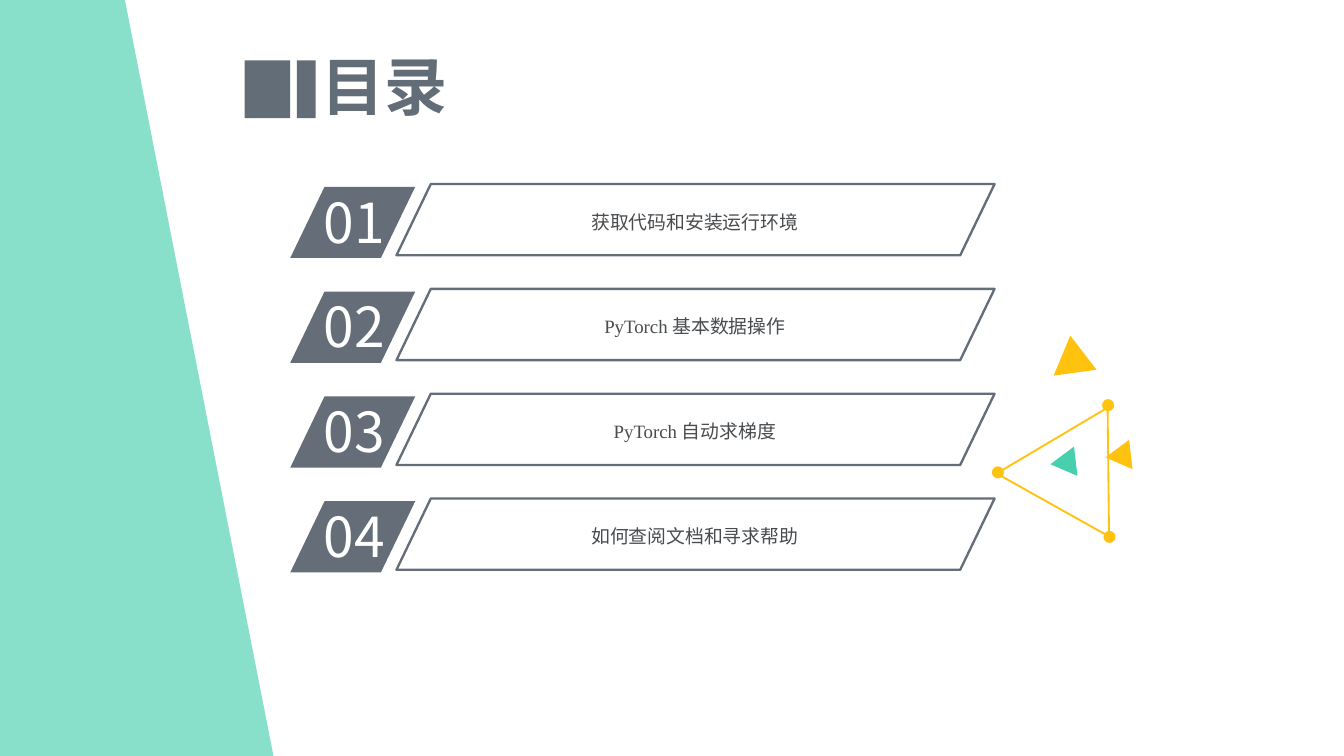
from lxml import etree
from pptx import Presentation, util as u
from pptx.dml.color import RGBColor
from pptx.enum import shapes as sh, text as tx
from pptx.oxml.ns import qn

SLATE = RGBColor(0x64, 0x6D, 0x78)
TITLE_SLATE = RGBColor(0x63, 0x6D, 0x78)
INK = RGBColor(0x49, 0x4C, 0x4F)
WHITE = RGBColor(0xFF, 0xFF, 0xFF)
AMBER = RGBColor(0xFF, 0xC2, 0x0F)
TEAL = RGBColor(0x48, 0xCF, 0xAE)
PANEL_TEAL = RGBColor(0x49, 0xCF, 0xAE)
CJK, LATIN = "Noto Sans CJK SC", "Times New Roman"
SLIDE_W = 10
SLIDE_H = SLIDE_W * 9 / 16

prs = Presentation()
prs.slide_width, prs.slide_height = u.Inches(SLIDE_W), u.Inches(SLIDE_H)
slide = prs.slides.add_slide(prs.slide_layouts[5])


def add_figure(kind, box, fill=None, line=None, weight=1, turn=0):
    """Add a preset shape with either a plain fill or a plain outline."""
    figure = slide.shapes.add_shape(kind, *map(u.Inches, box))
    figure.shadow.inherit = False
    figure.rotation = turn
    if fill is None:
        figure.fill.background()
    else:
        figure.fill.solid()
        figure.fill.fore_color.rgb = fill
    if line is None:
        figure.line.fill.background()
    else:
        figure.line.color.rgb = line
        figure.line.width = u.Pt(weight)
    return figure


def add_run(paragraph, words, size, color, face=CJK, bold=False):
    """Add a run whose face also applies to East Asian characters."""
    run = paragraph.add_run()
    run.text = words
    run.font.size, run.font.bold, run.font.name = u.Pt(size), bold, face
    run.font.color.rgb = color
    etree.SubElement(run.font._element, qn("a:ea")).set("typeface", face)


# Slanted side panel, in hundredths of an inch
outline = slide.shapes.build_freeform(0, 0, scale=u.Inches(1) / 100)
outline.add_line_segments([(93, 0), (204, 565), (0, 565)])
panel = outline.convert_to_shape()
panel.shadow.inherit = False
panel.line.fill.background()
panel.fill.solid()
panel.fill.fore_color.rgb = PANEL_TEAL
tint = panel.fill._xPr.find(".//" + qn("a:srgbClr"))
etree.SubElement(tint, qn("a:alpha")).set("val", "65000")

# Triangles and the dots on the corners of the large one
TRIANGLE = sh.MSO_SHAPE.ISOSCELES_TRIANGLE
add_figure(TRIANGLE, (7.79, 2.57, 0.32, 0.28), AMBER, turn=232.4)
add_figure(TRIANGLE, (7.85, 3.37, 0.22, 0.19), TEAL, turn=143.3)
add_figure(TRIANGLE, (8.26, 3.32, 0.22, 0.19), AMBER, turn=143.3)
add_figure(TRIANGLE, (7.56, 3.22, 0.96, 0.83), line=AMBER, turn=149.3)
for left, top in ((8.2, 2.97), (8.21, 3.95), (7.38, 3.47)):
    add_figure(sh.MSO_SHAPE.OVAL, (left, top, 0.09, 0.09), AMBER, turn=86)

# Heading with its two bars
heading = slide.shapes.title
heading.left, heading.top = u.Inches(1.56), u.Inches(0.35)
heading.width, heading.height = u.Inches(2.6), u.Inches(0.57)
frame = heading.text_frame
frame.auto_size = tx.MSO_AUTO_SIZE.NONE
frame.vertical_anchor = tx.MSO_ANCHOR.MIDDLE
frame.paragraphs[0].alignment = tx.PP_ALIGN.CENTER
add_run(frame.paragraphs[0], "目录", 33.8, TITLE_SLATE, bold=True)
for left, width in ((1.82, 0.34), (2.21, 0.14)):
    add_figure(sh.MSO_SHAPE.RECTANGLE, (left, 0.45, width, 0.43), TITLE_SLATE)

# Contents: one row per chapter
FIRST_ROW, ROW_PITCH, ROW_H = 1.39, 0.78, 0.53
SLANT = 0.482
chapters = [
    [("获取代码和安装运行环境", CJK)],
    [("PyTorch ", LATIN), ("基本数据操作", CJK)],
    [("PyTorch ", LATIN), ("自动求梯度", CJK)],
    [("如何查阅文档和寻求帮助", CJK)],
]
for row, chapter in enumerate(chapters):
    top = FIRST_ROW + row * ROW_PITCH
    badge = add_figure(sh.MSO_SHAPE.PARALLELOGRAM, (2.16, top, 0.93, ROW_H), SLATE)
    banner = add_figure(sh.MSO_SHAPE.PARALLELOGRAM, (2.95, top - 0.02, 4.45, ROW_H),
                        line=SLATE, weight=1.25)
    badge.adjustments[0] = banner.adjustments[0] = SLANT

    number = slide.shapes.add_textbox(
        *map(u.Inches, (2.31, top - 0.04, 0.88, 0.6))).text_frame
    number.word_wrap = True
    number.auto_size = tx.MSO_AUTO_SIZE.SHAPE_TO_FIT_TEXT
    add_run(number.paragraphs[0], f"{row + 1:02}", 29.5, WHITE)

    label = slide.shapes.add_textbox(
        *map(u.Inches, (3.54, top + 0.05, 3.26, 0.3))).text_frame
    label.word_wrap = True
    label.auto_size = tx.MSO_AUTO_SIZE.SHAPE_TO_FIT_TEXT
    label.margin_left = label.margin_right = u.Inches(0.08)
    label.margin_top = label.margin_bottom = u.Inches(0.04)
    label.paragraphs[0].alignment = tx.PP_ALIGN.CENTER
    label.paragraphs[0].line_spacing = 1.5
    for words, face in chapter:
        add_run(label.paragraphs[0], words, 10.1, INK, face)

prs.save("out.pptx")
